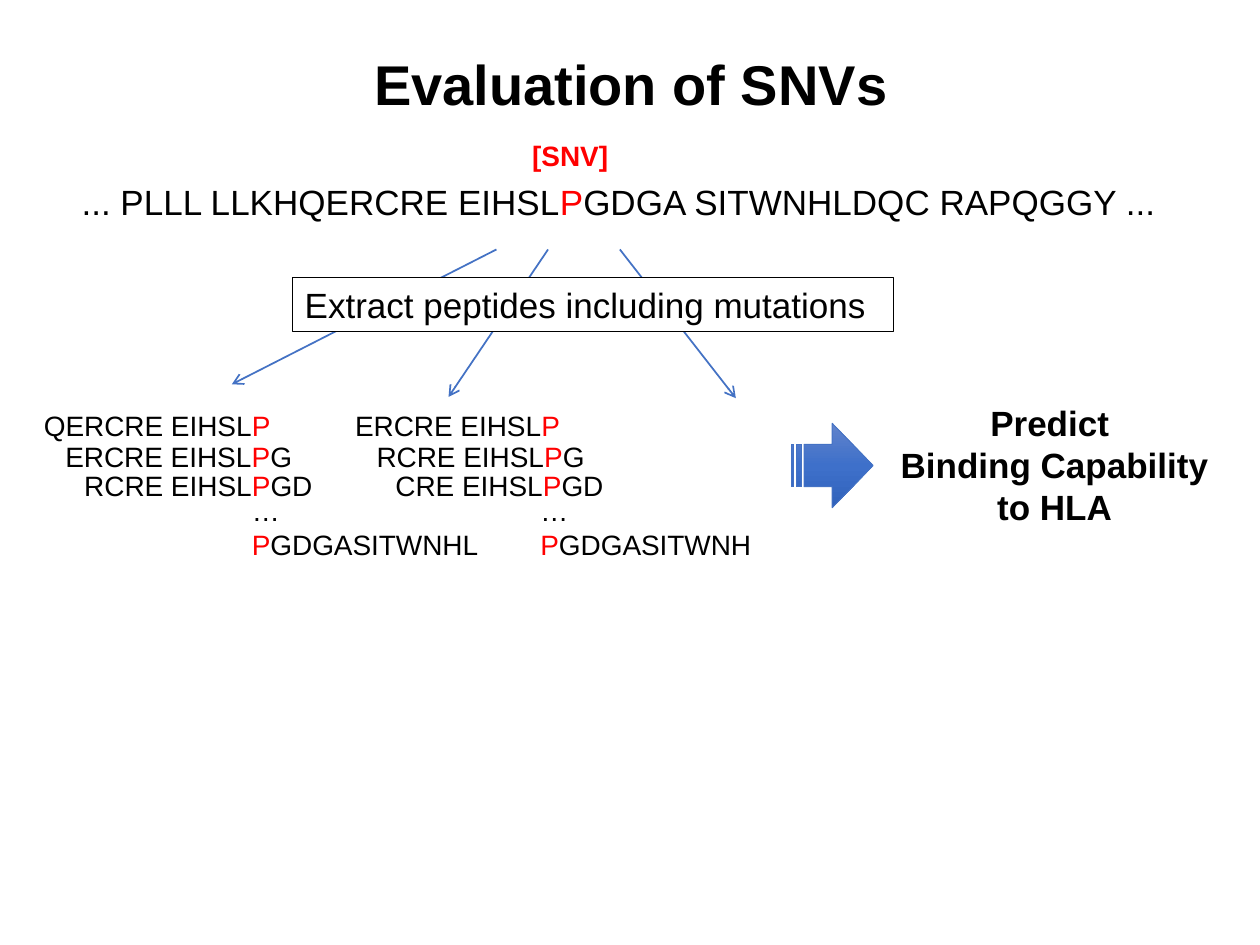
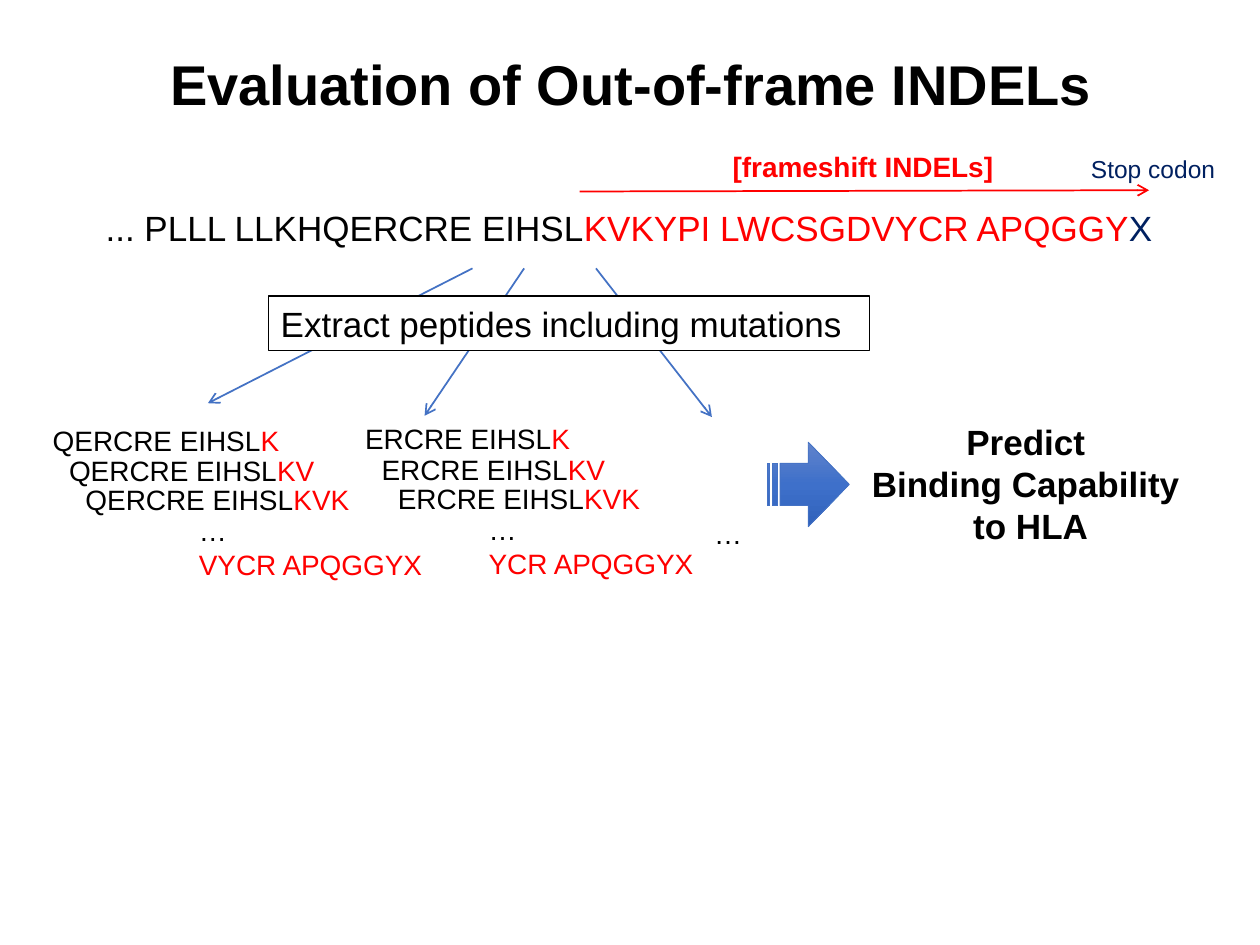
from copy import deepcopy
from lxml.etree import SubElement
from pptx import Presentation
from pptx.dml.color import RGBColor
from pptx.enum.shapes import MSO_CONNECTOR, MSO_SHAPE
from pptx.enum.text import MSO_ANCHOR, MSO_AUTO_SIZE, PP_ALIGN
from pptx.oxml.ns import qn
from pptx.util import Inches, Pt

HUES = {"ink": "000000", "red": "FF0000", "navy": "002060", "blue": "4472C4",
        "white": "FFFFFF", "light": "6183CB", "mid": "3E70CA", "deep": "3062BB"}
FONT = "Arial"

# A bar in a text moves on to the next of the slide's hues.
# Labels: text, left, top, width, size, hue, bold
# Ladders: left, top, width, growth per rung, rungs, (left, width, text) of the foot
SLIDES = [
    {"title": "Evaluation of SNVs",
     "hues": ("ink", "red", "ink"),
     "chain": ("... PLLL LLKHQERCRE EIHSL|P|GDGA SITWNHLDQC RAPQGGY ...", 0.55, 1.38, 8.74),
     "labels": [("[SNV]", 4.12, 1.05, 0.81, 16, "red", True)],
     "flow": (2.32, 2.2),
     "goal": (["Predict ", "Binding Capability", "to HLA"], 7.04, 2.66),
     "right": (0, 0.17, 0.32), "down": (0, 0.25, 0.48, 0.68),
     "ladders": [
         (0.25, 3.19, 2.02, 0, ["QERCRE EIHSL|P", "ERCRE EIHSL|P|G", "RCRE EIHSL|P|GD"],
          (1.9, 2.02, "|P|GDGASITWNHL")),
         (2.72, 3.19, 1.84, 0.02, ["ERCRE EIHSL|P", "RCRE EIHSL|P|G", "CRE EIHSL|P|GD"],
          (4.19, 1.9, "|P|GDGASITWNH"))]},
    {"title": "Evaluation of Out-of-frame INDELs",
     "hues": ("ink", "red", "navy"),
     "chain": ("... PLLL LLKHQERCRE EIHSL|KVKYPI LWCSGDVYCR APQGGY|X", 0.74, 1.59, 8.53),
     "labels": [("[frameshift INDELs]", 5.7, 1.14, 2.3, 16, "red", True),
                ("Stop codon", 8.56, 1.17, 1.19, 14, "navy", False),
                ("…", 5.57, 4.05, 0.43, 16, "ink", False)],
     "span": (4.6, 1.52, 9.12, 1.51),
     "flow": (2.13, 2.35),
     "goal": (["Predict ", "Binding Capability ", "to HLA"], 6.81, 2.74),
     "right": (0, 0.13, 0.26), "down": (0, 0.24, 0.47, 0.72),
     "ladders": [
         (0.32, 3.31, 2.02, 0.15, ["QERCRE EIHSL|K", "QERCRE EIHSL|KV", "QERCRE EIHSL|KVK"],
          (1.48, 2, "|VYCR APQGGYX")),
         (2.8, 3.3, 1.84, 0.15, ["ERCRE EIHSL|K", "ERCRE EIHSL|KV", "ERCRE EIHSL|KVK"],
          (3.78, 1.85, "|YCR APQGGYX"))]},
]
STEP = "Extract peptides including mutations"
# Arrow ends, measured from the corner of the step box
RAYS = [(1.62, -0.22, -0.48, 0.85), (2.03, -0.22, 1.24, 0.95), (2.6, -0.22, 3.52, 0.96)]


def rgb(hue):
    return RGBColor.from_string(HUES[hue])


def style(para, size, bold=False, align=PP_ALIGN.LEFT):
    para.font.name, para.font.size, para.font.bold = FONT, Pt(size), bold
    para.alignment = align


def write(slide, lines, left, top, width, size, hues, bold=False, align=PP_ALIGN.LEFT):
    """Add an unwrapped text box, one paragraph a line."""
    high = len(lines) * size / 60 + 0.1
    box = slide.shapes.add_textbox(*map(Inches, (left, top, width, high)))
    frame = box.text_frame
    frame.word_wrap = False
    frame.auto_size = MSO_AUTO_SIZE.SHAPE_TO_FIT_TEXT
    for i, line in enumerate(lines):
        para = frame.add_paragraph() if i else frame.paragraphs[0]
        style(para, size, bold, align)
        for part, hue in zip(line.split("|"), hues):
            if part:
                run = para.add_run()
                run.text = part
                run.font.color.rgb = rgb(hue)
    return box


def arrow(slide, ends, hue):
    link = slide.shapes.add_connector(MSO_CONNECTOR.STRAIGHT, *map(Inches, ends))
    link.line.color.rgb = rgb(hue)
    link.line.width = Pt(1)
    props = link.element.spPr
    SubElement(props.find(qn("a:ln")), qn("a:tailEnd"), type="arrow")
    SubElement(props, qn("a:effectLst"))


def block(slide, left, top):
    """Add the striped arrow that leads to the goal."""
    shape = slide.shapes.add_shape(MSO_SHAPE.STRIPED_RIGHT_ARROW,
                                   *map(Inches, (left, top, 0.65, 0.67)))
    shape.shadow.inherit = False
    shape.line.color.rgb = rgb("blue")
    shape.line.width = Pt(0.5)
    shape.fill.gradient()
    shape.fill.gradient_angle = 270
    stops = shape.element.spPr.find(".//" + qn("a:gsLst"))
    stops.insert(1, deepcopy(stops[0]))
    for i, (stop, hue) in enumerate(zip(shape.fill.gradient_stops, ("light", "mid", "deep"))):
        stop.position = i / 2
        stop.color.rgb = rgb(hue)


def head(slide, text):
    title = slide.shapes.title
    title.left, title.top, title.width, title.height = map(Inches, (0.51, 0.4, 9, 1.25))
    title.text_frame.text = text
    title.text_frame.vertical_anchor = MSO_ANCHOR.TOP
    para = title.text_frame.paragraphs[0]
    style(para, 32, True, PP_ALIGN.CENTER)
    para.font.color.rgb = rgb("ink")
    para.line_spacing = 0.9


def flow(slide, left, top):
    """Add the arrows, the step box over them and the block arrow."""
    for x1, y1, x2, y2 in RAYS:
        arrow(slide, (left + x1, top + y1, left + x2, top + y2), "blue")
    box = write(slide, [STEP], left, top, 4.77, 20, ["ink"])
    box.fill.solid()
    box.fill.fore_color.rgb = rgb("white")
    box.line.color.rgb = rgb("ink")
    box.line.width = Pt(0.75)
    block(slide, left + 3.96, top + 1.16)


def ladder(slide, data, left, top, width, grow, rungs, foot):
    """Add the shifted peptides and the last one below them."""
    hues = data["hues"]
    for i, (rung, dx, dy) in enumerate(zip(rungs, data["right"], data["down"])):
        write(slide, [rung], left + dx, top + dy, width + i * grow, 16, hues)
    x, wide, last = foot
    write(slide, ["…", last], x, top + data["down"][-1], wide, 16, hues)


def build(deck, data):
    slide = deck.slides.add_slide(deck.slide_layouts[5])
    head(slide, data["title"])
    chain, *place = data["chain"]
    write(slide, [chain], *place, 20, data["hues"])
    for text, left, top, width, size, hue, bold in data["labels"]:
        align = PP_ALIGN.CENTER if bold else PP_ALIGN.LEFT
        write(slide, [text], left, top, width, size, [hue], bold, align)
    if "span" in data:
        arrow(slide, data["span"], "red")
    flow(slide, *data["flow"])
    lines, left, width = data["goal"]
    write(slide, lines, left, data["flow"][1] + 0.94, width, 20, ["ink"], True, PP_ALIGN.CENTER)
    for parts in data["ladders"]:
        ladder(slide, data, *parts)


def main():
    deck = Presentation()
    deck.slide_width, deck.slide_height = Inches(10), Inches(7.5)
    for data in SLIDES:
        build(deck, data)
    deck.save("out.pptx")


if __name__ == "__main__":
    main()
